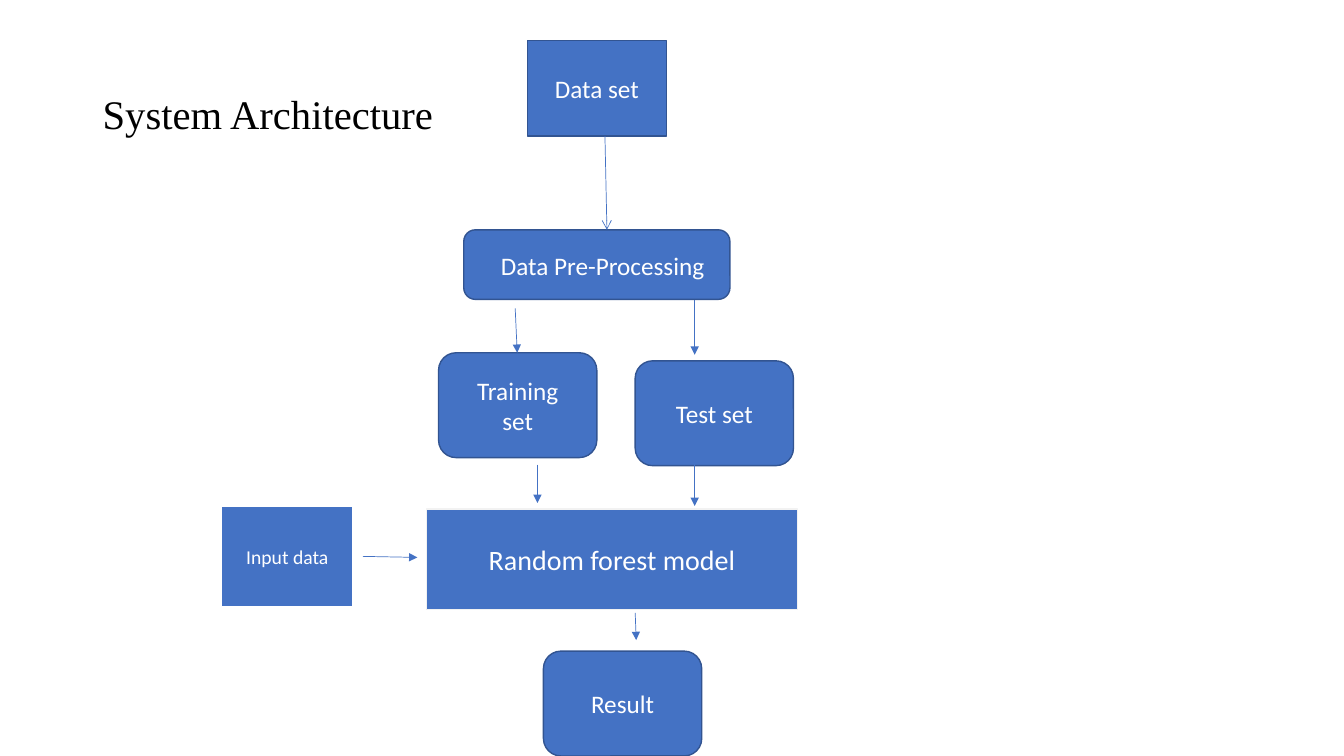
from lxml import etree
from pptx import Presentation
from pptx import util as u
from pptx.dml import color
from pptx.enum import shapes, text
from pptx.oxml import ns

COLORS = {"fill": "4472C4", "edge": "325491", "white": "FFFFFF",
          "pale": "F2F2F2", "title": "000000"}
RECT = shapes.MSO_SHAPE.RECTANGLE
ROUND = shapes.MSO_SHAPE.ROUNDED_RECTANGLE
SET_SIZE = (1.57, 1.04)

STAGES = [
    ("Data set", RECT, (5.23, 0.4), (1.38, 0.95), "edge", 18),
    ("", ROUND, (4.6, 2.28), (2.64, 0.69), "edge", 18),
    ("Input data", RECT, (2.2, 5.02), (1.3, 1), "white", 14),
    ("Random forest model", RECT, (4.23, 5.05), (3.68, 1), "pale", 20),
    ("Training\vset", ROUND, (4.35, 3.5), SET_SIZE, "edge", 18),
    ("Test set", ROUND, (6.3, 3.58), SET_SIZE, "edge", 18),
    ("Result", ROUND, (5.39, 6.46), SET_SIZE, "edge", 18),
]
LABELS = [
    ("System Architecture", (0.92, 0.4), (11.5, 1.45),
     {"name": "Times New Roman", "size": u.Pt(29)}, "title"),
    ("Data Pre-Processing", (4.87, 2.43), (3, 0.4),
     {"name": "Calibri", "size": u.Pt(18)}, "white"),
]
FLOWS = [
    ((5.11, 3.06), (5.13, 3.5), "triangle"),
    ((6.89, 2.98), (6.89, 3.52), "triangle"),
    ((6.89, 4.42), (6.89, 5.02), "triangle"),
    ((6, 1.35), (6.02, 2.28), "arrow"),
    ((5.33, 4.61), (5.33, 4.99), "triangle"),
    ((6.3, 6.08), (6.31, 6.35), "triangle"),
    ((3.6, 5.52), (4.14, 5.53), "triangle"),
]


def inches(*lengths):
    return [u.Inches(length) for length in lengths]


def rgb(name):
    return color.RGBColor.from_string(COLORS[name])


def write(holder, words, font, ink, align):
    frame = holder.text_frame
    frame.word_wrap = True
    frame.vertical_anchor = text.MSO_ANCHOR.MIDDLE
    paragraph = frame.paragraphs[0]
    paragraph.text = words
    paragraph.alignment = align
    for run in paragraph.runs:
        for key, value in font.items():
            setattr(run.font, key, value)
        run.font.color.rgb = rgb(ink)


def add_stage(slide, words, outline, place, size, edge, points):
    stage = slide.shapes.add_shape(outline, *inches(*place, *size))
    stage.shadow.inherit = False
    stage.fill.solid()
    stage.fill.fore_color.rgb = rgb("fill")
    stage.line.color.rgb = rgb(edge)
    stage.line.width = u.Pt(1)
    if words:
        write(stage, words, {"name": "Calibri", "size": u.Pt(points)},
              "white", text.PP_ALIGN.CENTER)


def add_label(slide, words, place, size, font, ink):
    label = slide.shapes.add_textbox(*inches(*place, *size))
    write(label, words, font, ink, text.PP_ALIGN.LEFT)


def add_flow(slide, start, end, head):
    flow = slide.shapes.add_connector(
        shapes.MSO_CONNECTOR.STRAIGHT, *inches(*start, *end))
    flow.line.color.rgb = rgb("fill")
    flow.line.width = u.Pt(0.5)
    etree.SubElement(flow.line._get_or_add_ln(), ns.qn("a:tailEnd"), type=head)
    etree.SubElement(flow._element.spPr, ns.qn("a:effectLst"))


deck = Presentation()
deck.slide_width, deck.slide_height = inches(13.33, 7.5)
slide = deck.slides.add_slide(deck.slide_layouts[6])
for add, parts in ((add_stage, STAGES), (add_label, LABELS), (add_flow, FLOWS)):
    for part in parts:
        add(slide, *part)
deck.save("out.pptx")
